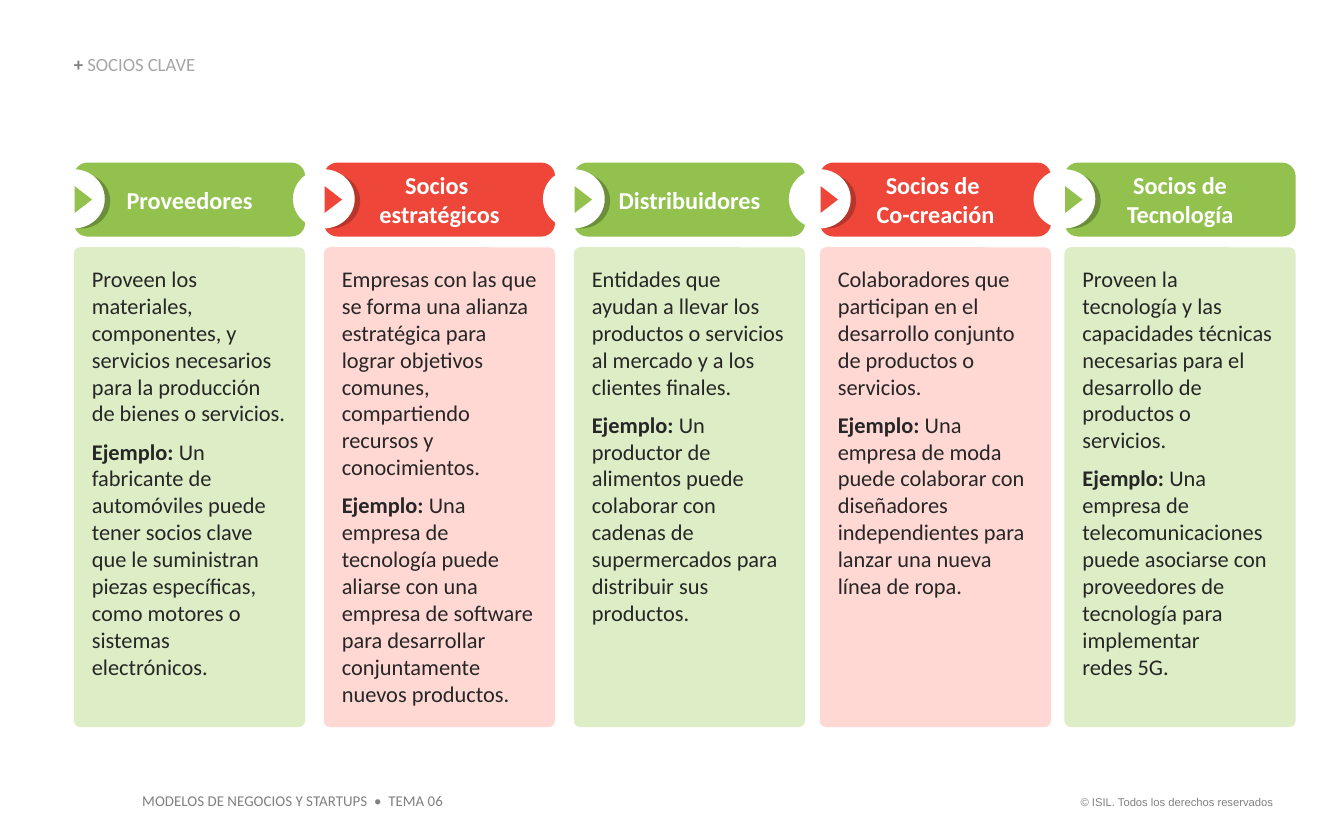
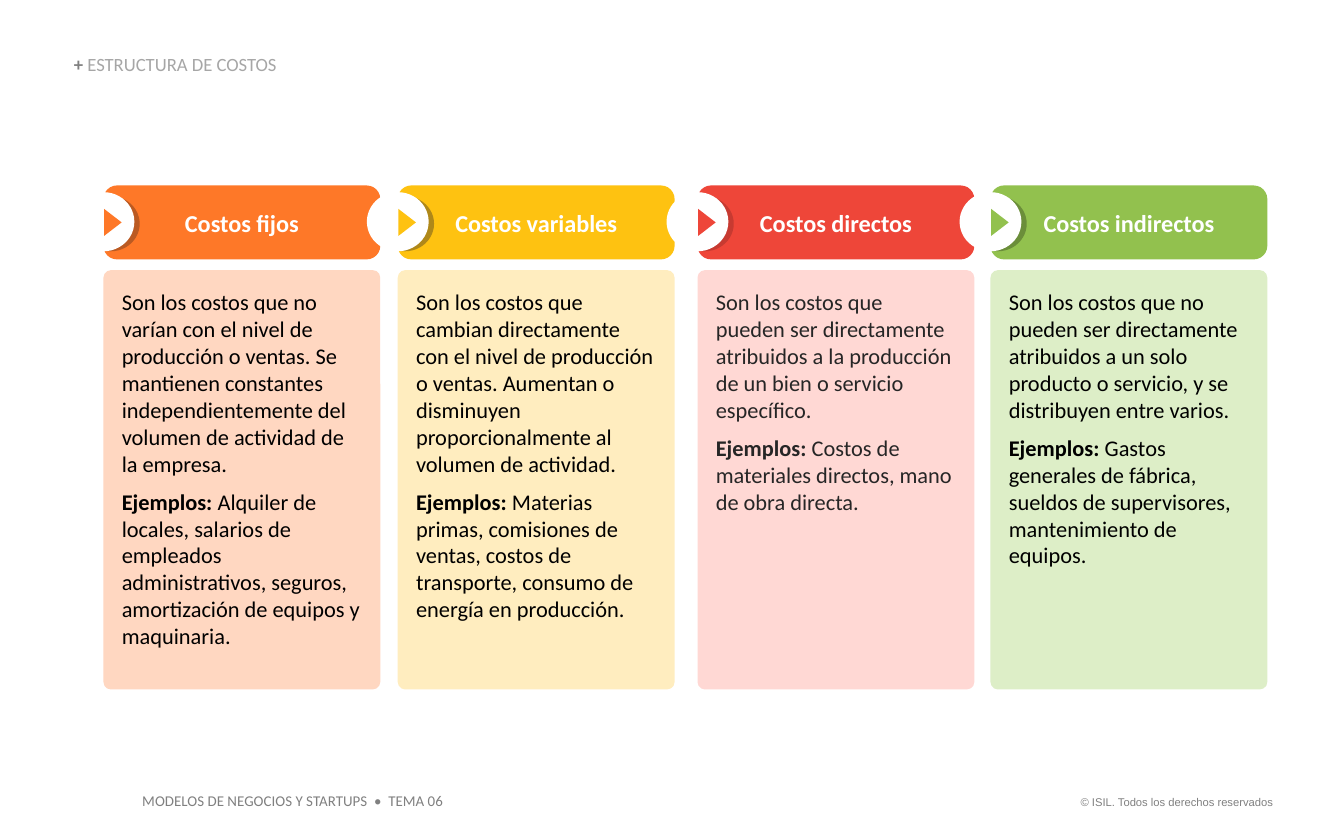
from collections import namedtuple
from dataclasses import dataclass, replace

from pptx import Presentation
from pptx.dml.color import RGBColor as Rgb
from pptx.enum.shapes import MSO_SHAPE as Kind
from pptx.enum.text import MSO_ANCHOR as Anchor, MSO_AUTO_SIZE as Fit, PP_ALIGN as Align
from pptx.util import Inches, Pt


@dataclass(frozen=True)
class Hue:
    main: str
    pale: str
    dark: str


@dataclass(frozen=True)
class Theme:
    font: str = "Calibri"
    legal: str = "Arial"
    white: str = "FFFFFF"
    black: str = "000000"
    ink: str = "262626"
    gray: str = "808080"
    light: str = "A6A6A6"
    title: int = 10
    head: int = 13
    body: int = 12
    foot: int = 8
    small: int = 6
    green: Hue = Hue("92C14E", "DDEEC7", "6B8E3A")
    red: Hue = Hue("EE4639", "FFD8D4", "B7362B")
    gold: Hue = Hue("FEC211", "FFEDBF", "AF8819")
    orange: Hue = Hue("FE7828", "FFD7C1", "BB5A22")


Card = namedtuple("Card", "left hue ink head text sample")
Page = namedtuple("Page", "title lead top width height cards")

LOOK = Theme()
BRICK = replace(LOOK.red, dark="C73A31")

PAGES = [
    Page("SOCIOS CLAVE", "Ejemplo: ", 1.21, 1.72, 3.57, [
        Card(0.55, LOOK.green, LOOK.ink, "Proveedores",
             "Proveen los materiales, componentes, y servicios necesarios para la "
             "producción de bienes o servicios.",
             "Un fabricante de automóviles puede tener socios clave que le suministran "
             "piezas específicas, como motores o sistemas electrónicos."),
        Card(2.41, LOOK.red, LOOK.ink, "Socios \nestratégicos",
             "Empresas con las que se forma una alianza estratégica para lograr "
             "objetivos comunes, compartiendo recursos y conocimientos.",
             "Una empresa de tecnología puede aliarse con una empresa de software "
             "para desarrollar conjuntamente nuevos productos."),
        Card(4.27, LOOK.green, LOOK.ink, "Distribuidores",
             "Entidades que ayudan a llevar los productos o servicios al mercado y "
             "a los clientes finales.",
             "Un productor de alimentos puede colaborar con cadenas de supermercados "
             "para distribuir sus productos."),
        Card(6.1, LOOK.red, LOOK.ink, "Socios de \nCo-creación",
             "Colaboradores que participan en el desarrollo conjunto de productos o "
             "servicios.",
             "Una empresa de moda puede colaborar con diseñadores independientes para "
             "lanzar una nueva línea de ropa."),
        Card(7.92, LOOK.green, LOOK.ink, "Socios de\nTecnología",
             "Proveen la tecnología y las capacidades técnicas necesarias para el "
             "desarrollo de productos o servicios.",
             "Una empresa de telecomunicaciones puede asociarse con proveedores de "
             "tecnología para implementar \nredes 5G."),
    ]),
    Page("ESTRUCTURA DE COSTOS", "Ejemplos: ", 1.38, 2.06, 3.12, [
        Card(0.77, LOOK.orange, LOOK.black, "Costos fijos",
             "Son los costos que no varían con el nivel de producción o ventas. Se "
             "mantienen constantes independientemente del volumen de actividad de la "
             "empresa.",
             "Alquiler de locales, salarios de empleados administrativos, seguros, "
             "amortización de equipos y maquinaria."),
        Card(2.96, LOOK.gold, LOOK.black, "Costos variables",
             "Son los costos que cambian directamente con el nivel de producción o "
             "ventas. Aumentan o disminuyen proporcionalmente al volumen de actividad.",
             "Materias primas, comisiones de ventas, costos de transporte, consumo de "
             "energía en producción."),
        Card(5.19, BRICK, LOOK.ink, "Costos directos",
             "Son los costos que pueden ser directamente atribuidos a la producción "
             "de un bien o servicio específico.",
             "Costos de materiales directos, mano de obra directa."),
        Card(7.37, LOOK.green, LOOK.black, "Costos indirectos",
             "Son los costos que no pueden ser directamente atribuidos a un solo "
             "producto o servicio, y se distribuyen entre varios.",
             "Gastos generales de fábrica, sueldos de supervisores, mantenimiento de "
             "equipos."),
    ]),
]


class Deck:
    def __init__(self, look):
        self.look = look
        self.show = Presentation()
        self.show.slide_width = Inches(10)
        self.show.slide_height = Inches(6.25)
        self.layout = self.show.slide_layouts[5]
        self.slide = None
        for item in list(self.layout.placeholders)[1:]:
            item.element.getparent().remove(item.element)

    def start(self, title):
        self.slide = self.show.slides.add_slide(self.layout)
        if len(self.show.slides) == 1:
            self.footer()
        box = self.slide.shapes.title
        self.place(box, 0.55, 0.41, 4.25, 0.15)
        frame = box.text_frame
        self.frame(frame, Anchor.BOTTOM, 0, 0, 0)
        frame.auto_size = Fit.NONE
        para = frame.paragraphs[0]
        para.alignment = Align.LEFT
        para.line_spacing = 0.9
        para.space_before = Pt(0)
        self.run(para, "+ ", self.look.title, self.look.gray, True)
        self.run(para, title, self.look.title, self.look.light)

    def footer(self):
        look = self.look
        self.note(0.96, 5.84, 2.45, 0.24, Align.LEFT,
                  "MODELOS DE NEGOCIOS Y STARTUPS  •  TEMA 06", look.foot, look.font)
        self.note(7.88, 5.87, 1.69, 0.2, Align.RIGHT,
                  "© ISIL. Todos los derechos reservados", look.small, look.legal)

    def note(self, left, top, width, height, align, text, size, font):
        box = self.slide.shapes.add_textbox(0, 0, 0, 0)
        self.place(box, left, top, width, height)
        box.text_frame.word_wrap = False
        box.text_frame.auto_size = Fit.SHAPE_TO_FIT_TEXT
        para = box.text_frame.paragraphs[0]
        para.alignment = align
        self.run(para, text, size, self.look.gray, font=font)
        self.layout.shapes.element.append(box.element)

    def place(self, item, left, top, width, height):
        item.left, item.top = Inches(left), Inches(top)
        item.width, item.height = Inches(width), Inches(height)

    def frame(self, frame, anchor, side, top, bottom):
        frame.word_wrap = True
        frame.vertical_anchor = anchor
        frame.margin_left = frame.margin_right = Inches(side)
        frame.margin_top, frame.margin_bottom = Inches(top), Inches(bottom)

    def run(self, para, text, size, color, bold=False, font=None):
        for spot, line in enumerate(text.split("\n")):
            if spot:
                para.add_line_break()
            run = para.add_run()
            run.text = line
            run.font.name = font or self.look.font
            run.font.size = Pt(size)
            run.font.bold = bold
            run.font.color.rgb = Rgb.from_string(color)

    def shape(self, home, kind, left, top, width, height, color):
        item = home.add_shape(kind, Inches(left), Inches(top), Inches(width), Inches(height))
        item.shadow.inherit = False
        item.fill.solid()
        item.fill.fore_color.rgb = Rgb.from_string(color)
        item.line.fill.background()
        return item

    def head(self, card, top, width):
        item = self.shape(self.slide.shapes, Kind.ROUNDED_RECTANGLE,
                          card.left, top, width, 0.55, card.hue.main)
        item.adjustments[0] = 0.183
        self.frame(item.text_frame, Anchor.MIDDLE, 0.1, 0.05, 0.05)
        para = item.text_frame.paragraphs[0]
        para.alignment = Align.CENTER
        self.run(para, card.head, self.look.head, self.look.white, True)

    def body(self, card, top, width, height, lead):
        item = self.shape(self.slide.shapes, Kind.ROUNDED_RECTANGLE,
                          card.left, top, width, height, card.hue.pale)
        item.adjustments[0] = 0.027
        frame = item.text_frame
        self.frame(frame, Anchor.TOP, 0.12, 0.12, 0.05)
        first, second = frame.paragraphs[0], frame.add_paragraph()
        for para in (first, second):
            para.alignment = Align.LEFT
            para.space_after = Pt(6)
        size = self.look.body
        self.run(first, card.text, size, card.ink)
        self.run(second, lead, size, card.ink, True)
        self.run(second, card.sample, size, card.ink)

    def badge(self, left, top, hue):
        home = self.slide.shapes.add_group_shape().shapes
        self.shape(home, Kind.OVAL, left - 0.16, top + 0.08, 0.43, 0.41, hue.dark)
        self.shape(home, Kind.OVAL, left - 0.23, top + 0.05, 0.46, 0.44, self.look.white)
        mark = self.shape(home, Kind.ISOSCELES_TRIANGLE,
                          left - 0.03, top + 0.21, 0.2, 0.13, hue.main)
        mark.rotation = 90

    def page(self, page):
        self.start(page.title)
        for card in page.cards:
            self.head(card, page.top, page.width)
            self.body(card, page.top + 0.63, page.width, page.height, page.lead)
            self.badge(card.left, page.top, card.hue)


def main():
    deck = Deck(LOOK)
    for page in PAGES:
        deck.page(page)
    deck.show.save("out.pptx")


if __name__ == "__main__":
    main()
